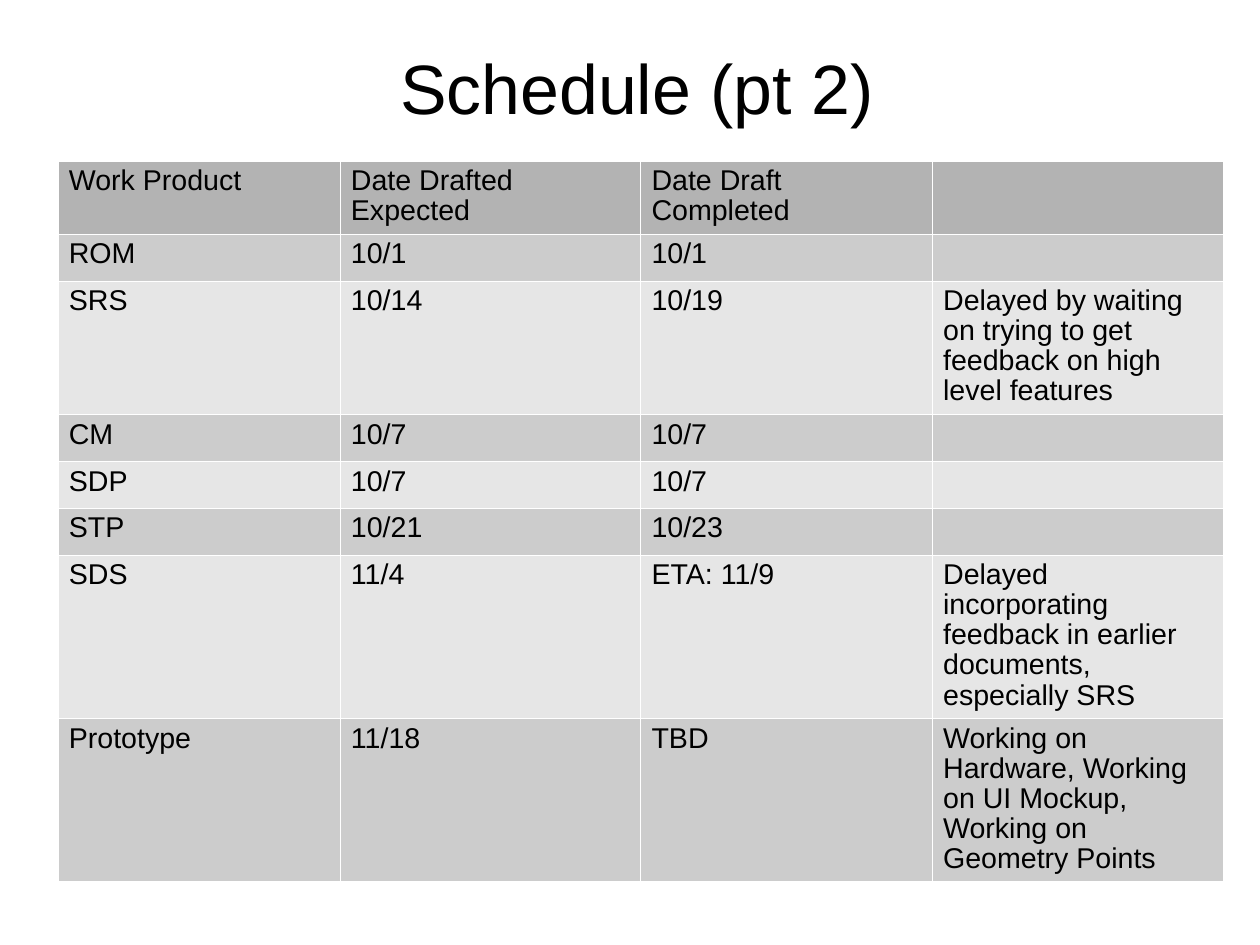
from lxml import etree
from pptx import Presentation
from pptx.dml.color import RGBColor
from pptx.enum.text import PP_ALIGN
from pptx.oxml.ns import qn
from pptx.util import Cm, Pt

CENTER = PP_ALIGN.CENTER
LEFT = PP_ALIGN.LEFT
FONT = "Arial"
BLACK = "000000"
WHITE = "FFFFFF"
HEADER_GRAY = "B3B3B3"
BAND_GRAYS = ("CCCCCC", "E6E6E6")
BORDER_WIDTH = Pt(0.06)

MARGINS = {
    "margin_left": Cm(0.25),
    "margin_right": Cm(0.25),
    "margin_top": Cm(0.13),
    "margin_bottom": Cm(0.13),
}

COLUMN_WIDTHS = (6.27, 6.68, 6.48, 6.48)
ROW_HEIGHTS = (1.63, 1.04, 2.97, 1.04, 1.04, 1.04, 3.63, 3.63)
SCHEDULE = (
    ("Work Product", "Date Drafted Expected", "Date Draft Completed", ""),
    ("ROM", "10/1", "10/1", ""),
    ("SRS", "10/14", "10/19",
     "Delayed by waiting on trying to get feedback on high level features"),
    ("CM", "10/7", "10/7", ""),
    ("SDP", "10/7", "10/7", ""),
    ("STP", "10/21", "10/23", ""),
    ("SDS", "11/4", "ETA: 11/9",
     "Delayed incorporating feedback in earlier documents, especially SRS"),
    ("Prototype", "11/18", "TBD",
     "Working on Hardware, Working on UI Mockup, Working on Geometry Points"),
)


def color(hex_string):
    return RGBColor.from_string(hex_string)


def set_all(target, values):
    for name, value in values.items():
        setattr(target, name, value)


def write(frame, text, size, alignment=LEFT):
    paragraph = frame.paragraphs[0]
    set_all(paragraph, {"alignment": alignment, "line_spacing": 0.94})
    if text:
        run = paragraph.add_run()
        run.text = text
        set_all(run.font, {"name": FONT, "size": Pt(size)})
        run.font.color.rgb = color(BLACK)


def add_borders(cell, hex_string):
    properties = cell._tc.get_or_add_tcPr()
    for side in ("lnL", "lnR", "lnT", "lnB"):
        border = etree.SubElement(properties, qn(f"a:{side}"), w=str(BORDER_WIDTH))
        fill = etree.SubElement(border, qn("a:solidFill"))
        etree.SubElement(fill, qn("a:srgbClr"), val=hex_string)


def add_title(slide, left, top, width, height):
    title = slide.shapes.add_textbox(left, top, width, height)
    set_all(title.text_frame, {**MARGINS, "word_wrap": True})
    write(title.text_frame, "Schedule (pt 2)", 44, CENTER)


def add_schedule(slide, left, top, width, height):
    schedule = slide.shapes.add_table(
        len(SCHEDULE), len(COLUMN_WIDTHS), left, top, width, height).table
    set_all(schedule, {"first_row": False, "horz_banding": False})
    for column, share in zip(schedule.columns, COLUMN_WIDTHS):
        column.width = int(width * share / sum(COLUMN_WIDTHS))
    for row, share in zip(schedule.rows, ROW_HEIGHTS):
        row.height = int(height * share / sum(ROW_HEIGHTS))

    for row_index, entries in enumerate(SCHEDULE):
        shade = BAND_GRAYS[(row_index - 1) % 2] if row_index else HEADER_GRAY
        for column_index, entry in enumerate(entries):
            cell = schedule.cell(row_index, column_index)
            set_all(cell, MARGINS)
            add_borders(cell, WHITE)
            cell.fill.solid()
            cell.fill.fore_color.rgb = color(shade)
            write(cell.text_frame, entry, 18)


def main():
    presentation = Presentation()
    set_all(presentation, {"slide_width": Cm(28), "slide_height": Cm(21)})
    slide = presentation.slides.add_slide(presentation.slide_layouts[6])
    add_schedule(slide, Cm(1.28), Cm(3.57),
                 Cm(sum(COLUMN_WIDTHS)), Cm(sum(ROW_HEIGHTS)))
    add_title(slide, Cm(8.38), Cm(1.02), Cm(11.56), Cm(2.11))
    presentation.save("out.pptx")


if __name__ == "__main__":
    main()
